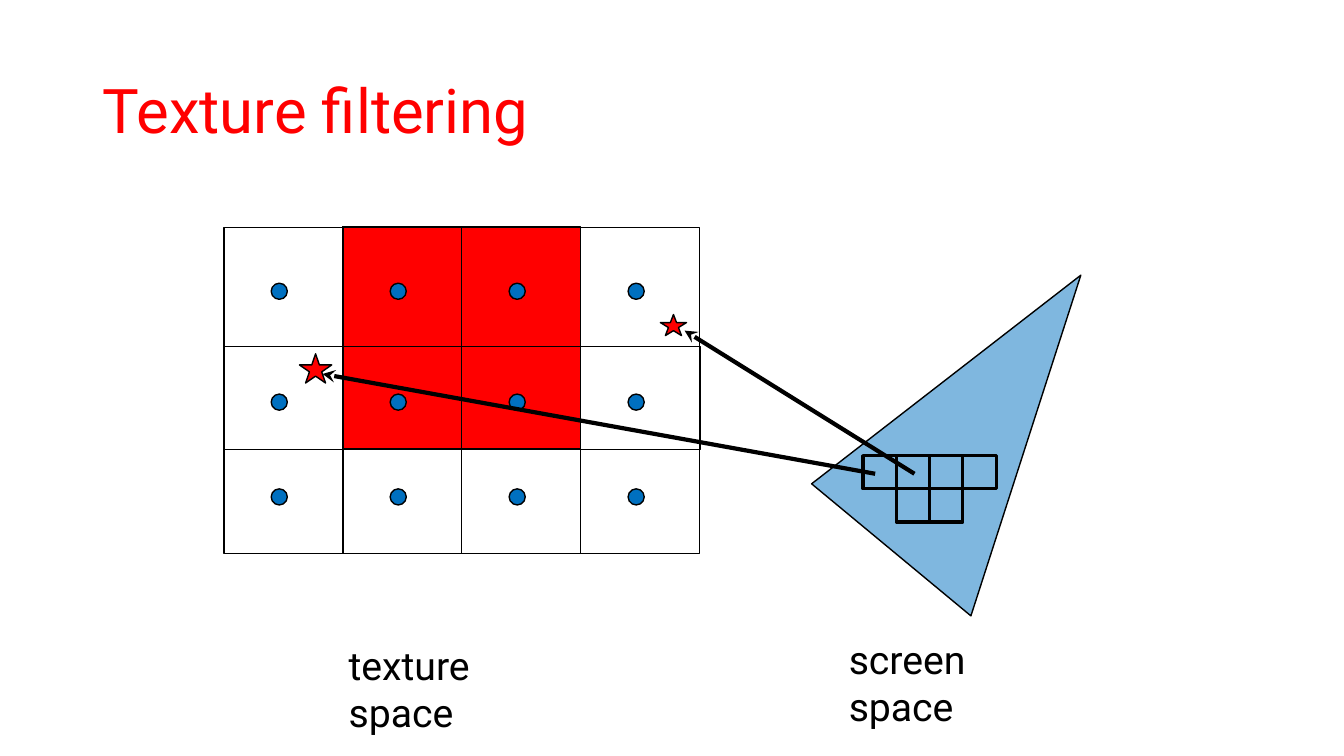
from lxml import etree
from pptx import Presentation
from pptx.dml.color import RGBColor
from pptx.enum.shapes import MSO_CONNECTOR, MSO_SHAPE
from pptx.enum.text import MSO_ANCHOR
from pptx.oxml.ns import qn
from pptx.util import Inches, Pt

COLORS = {"red": "FF0000", "blue": "0070C0", "black": "000000"}
FONT = "Roboto"

TEXEL_LEFT, TEXEL_TOP, TEXEL_W, TEXEL_H = 2.22, 2.26, 1.18, 3.23
TEXEL_COLS = 4
SAMPLE_ROWS = (2.81, 3.91, 4.85)
PIXEL = 0.33
PIXEL_LEFT, PIXEL_TOP = 8.56, 4.52
PIXEL_CELLS = ((0, 0), (1, 0), (2, 0), (3, 0), (1, 1), (2, 1))
TRIANGLE = ((9.63, 6.11), (8.05, 4.8), (10.72, 2.73))


def rgb(name):
    return RGBColor.from_string(COLORS[name])


def style_shape(shape, fill, weight):
    shape.shadow.inherit = False
    if fill:
        shape.fill.solid()
        shape.fill.fore_color.rgb = rgb(fill)
    else:
        shape.fill.background()
    shape.line.color.rgb = rgb("black")
    shape.line.width = Pt(weight)


def add_outlined(s, kind, x, y, w, h, fill=None, weight=1):
    shape = s.shapes.add_shape(kind, Inches(x), Inches(y), Inches(w), Inches(h))
    style_shape(shape, fill, weight)


def add_triangle(s):
    points = [(Inches(x), Inches(y)) for x, y in TRIANGLE]
    builder = s.shapes.build_freeform(*points[0])
    builder.add_line_segments(points[1:], close=True)
    shape = builder.convert_to_shape()
    style_shape(shape, "blue", 1)
    color = shape.fill._xPr.find(qn("a:solidFill"))[0]
    etree.SubElement(color, qn("a:alpha"), val="50000")


def add_arrow(s, x1, y1, x2, y2):
    arrow = s.shapes.add_connector(
        MSO_CONNECTOR.STRAIGHT, Inches(x1), Inches(y1), Inches(x2), Inches(y2))
    arrow.line.color.rgb = rgb("black")
    arrow.line.width = Pt(3)
    etree.SubElement(arrow.line._get_or_add_ln(), qn("a:tailEnd"), type="stealth")
    etree.SubElement(arrow._element.spPr, qn("a:effectLst"))


def add_text(s, text, x, y, w, h, size, color="black",
             anchor=MSO_ANCHOR.TOP, line_spacing=None):
    box = s.shapes.add_textbox(Inches(x), Inches(y), Inches(w), Inches(h))
    tf = box.text_frame
    tf.word_wrap = True
    tf.vertical_anchor = anchor
    p = tf.paragraphs[0]
    p.text = text
    p.line_spacing = line_spacing
    p.font.name = FONT
    p.font.size = Pt(size)
    p.font.color.rgb = rgb(color)


def add_texture_grid(s):
    add_outlined(s, MSO_SHAPE.RECTANGLE, 3.4, 2.25, 2.36, 2.2, "red")
    for col in range(TEXEL_COLS):
        add_outlined(s, MSO_SHAPE.RECTANGLE, TEXEL_LEFT + col * TEXEL_W,
                     TEXEL_TOP, TEXEL_W, TEXEL_H)
    add_outlined(s, MSO_SHAPE.RECTANGLE, TEXEL_LEFT, 3.44, 4.73, 1.02)
    for y in SAMPLE_ROWS:
        for col in range(TEXEL_COLS):
            add_outlined(s, MSO_SHAPE.OVAL, 2.69 + col * TEXEL_W, y,
                         0.16, 0.16, "blue")


def add_screen_pixels(s):
    for col, row in PIXEL_CELLS:
        add_outlined(s, MSO_SHAPE.RECTANGLE, PIXEL_LEFT + col * PIXEL,
                     PIXEL_TOP + row * PIXEL, PIXEL, PIXEL, weight=2.25)


def main():
    prs = Presentation()
    prs.slide_width, prs.slide_height = Inches(13.33), Inches(7.5)
    s = prs.slides.add_slide(prs.slide_layouts[6])

    add_text(s, "Texture filtering", 0.92, 0.4, 11.5, 1.45, 44, "red",
             MSO_ANCHOR.MIDDLE, 0.9)
    add_texture_grid(s)
    add_outlined(s, MSO_SHAPE.STAR_5_POINT, 2.97, 3.51, 0.32, 0.29, "red")
    add_triangle(s)
    add_screen_pixels(s)
    add_arrow(s, 8.68, 4.7, 3.2, 3.71)
    add_outlined(s, MSO_SHAPE.STAR_5_POINT, 6.55, 3.12, 0.26, 0.21, "red")
    add_arrow(s, 9.07, 4.7, 6.79, 3.28)
    add_text(s, "texture space", 3.36, 6.31, 2.36, 0.57, 28)
    add_text(s, "screen space", 8.32, 6.25, 2.3, 0.57, 28)

    prs.save("out.pptx")


if __name__ == "__main__":
    main()
